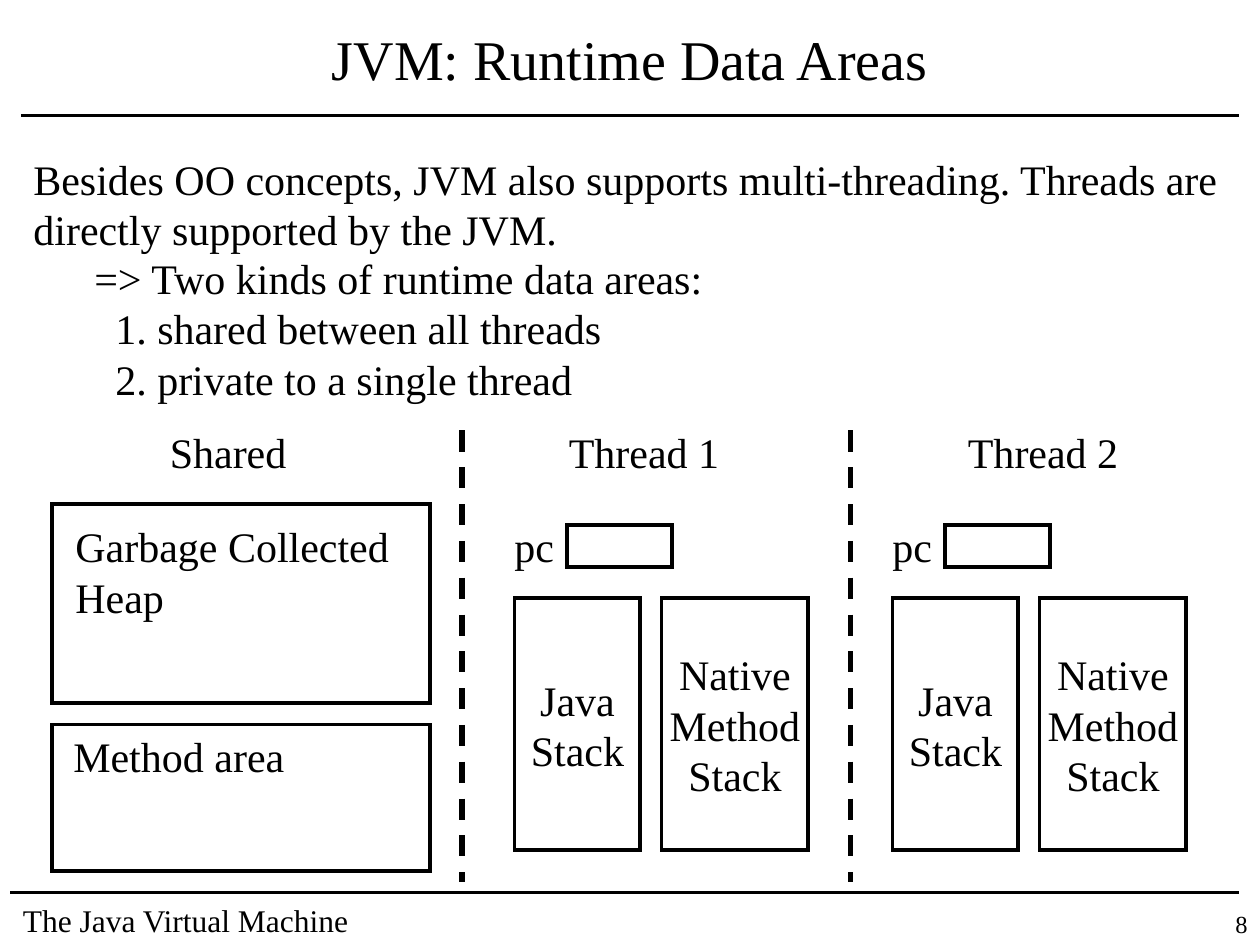
from lxml import etree
from pptx import Presentation
from pptx.dml.color import RGBColor
from pptx.enum import dml, shapes, text
from pptx.oxml.ns import qn
from pptx.util import Inches, Pt

# The page is a grid of 120 columns by 90 rows, twelve to the inch
COLUMNS, ROWS = 120, 90
CELL = Inches(1) / 12
COLORS = {"ink": "000000", "paper": "FFFFFF"}
FONT = "Times New Roman"
BODY_SIZE = 24


def grid(*values):
    return [round(value * CELL) for value in values]


def color(name):
    return RGBColor.from_string(COLORS[name])


def write(frame, lines, size=BODY_SIZE, align=text.PP_ALIGN.LEFT, indents=(), **frame_format):
    """Fill a text frame with one paragraph a line; indents are in columns."""
    for name, value in frame_format.items():
        setattr(frame, name, value)
    for index, line in enumerate(lines):
        para = frame.paragraphs[0] if index == 0 else frame.add_paragraph()
        para.alignment = align
        if indents and indents[index]:
            properties = para._p.get_or_add_pPr()
            properties.set("marL", str(grid(indents[index])[0]))
            properties.set("indent", "0")
        span = para.add_run()
        span.text = line
        for name, value in {"name": FONT, "size": Pt(size), "bold": False}.items():
            setattr(span.font, name, value)
        span.font.color.rgb = color("ink")


def add_label(page, place, lines, wrap=False, auto_size=text.MSO_AUTO_SIZE.SHAPE_TO_FIT_TEXT, **style):
    box = page.shapes.add_textbox(*grid(*place))
    write(box.text_frame, lines, word_wrap=wrap, auto_size=auto_size, **style)


def add_box(page, place, lines=()):
    box = page.shapes.add_shape(shapes.MSO_SHAPE.RECTANGLE, *grid(*place))
    box.shadow.inherit = False
    box.fill.background()
    box.line.color.rgb = color("ink")
    box.line.width = Pt(2.25)
    # Square corners
    etree.SubElement(box._element.spPr.find(qn("a:ln")), qn("a:miter"), lim="800000")
    write(box.text_frame, lines, align=text.PP_ALIGN.CENTER, word_wrap=False,
          vertical_anchor=text.MSO_ANCHOR.MIDDLE)


def add_rule(page, start, end, width=2.25, dash=None):
    rule = page.shapes.add_connector(shapes.MSO_CONNECTOR.STRAIGHT, *grid(*start, *end))
    rule.line.color.rgb = color("ink")
    rule.line.width = Pt(width)
    if dash:
        rule.line.dash_style = dash
    etree.SubElement(rule._element.spPr, qn("a:effectLst"))


def add_title(page, place, words):
    title = page.shapes.title
    for name, value in zip(("left", "top", "width", "height"), grid(*place)):
        setattr(title, name, value)
    write(title.text_frame, [words], size=32, align=text.PP_ALIGN.CENTER,
          vertical_anchor=text.MSO_ANCHOR.MIDDLE)


def add_thread(page, left, heading_left, heading):
    """Draw one thread's private areas from the given column."""
    add_label(page, (heading_left, 40, 17.5, 6), [heading])
    add_label(page, (left - 1.2, 49, 6.8, 6), ["pc"])
    add_box(page, (left + 5, 50, 10, 4))
    add_box(page, (left, 57, 12, 24), ["Java", "Stack"])
    add_box(page, (left + 14, 57, 14, 24), ["Native", "Method", "Stack"])


def main():
    deck = Presentation()
    deck.slide_width, deck.slide_height = grid(COLUMNS, ROWS)
    page = deck.slides.add_slide(deck.slide_layouts[5])
    page.background.fill.solid()
    page.background.fill.fore_color.rgb = color("paper")

    # Heading and footer
    add_title(page, (3, 1, 114, 9), "JVM: Runtime Data Areas")
    add_rule(page, (2, 11), (118, 11))
    add_rule(page, (1, 85), (118, 85))
    add_label(page, (1, 85.2, 46, 4.8), ["The Java Virtual Machine"], size=18, wrap=True)
    add_label(page, (111, 86, 9, 4), ["8"], size=14, wrap=True,
              align=text.PP_ALIGN.RIGHT, auto_size=text.MSO_AUTO_SIZE.NONE)

    # Introduction
    add_label(page, (2, 14, 116, 10.8), [
        "Besides OO concepts, JVM also supports multi-threading. "
        "Threads are directly supported by the JVM."], wrap=True)
    add_label(page, (7.8, 23.45, 62, 15.6), [
        "=> Two kinds of runtime data areas:",
        "1. shared between all threads",
        "2. private to a single thread"], indents=(0, 2, 2))

    # Shared areas
    add_label(page, (15, 40, 14.2, 6), ["Shared"])
    add_box(page, (5, 48, 36, 19))
    add_label(page, (6, 49, 33, 10.8), ["Garbage Collected", "Heap"])
    add_box(page, (5, 69, 36, 14))
    add_label(page, (5.8, 69, 23.2, 6), ["Method area"])

    # Private areas
    add_thread(page, 49, 53, "Thread 1")
    add_thread(page, 85, 91, "Thread 2")

    # Dividers between the areas
    for column in (44, 81):
        add_rule(page, (column, 41), (column, 84), width=3, dash=dml.MSO_LINE.DASH)

    deck.save("out.pptx")


if __name__ == "__main__":
    main()
